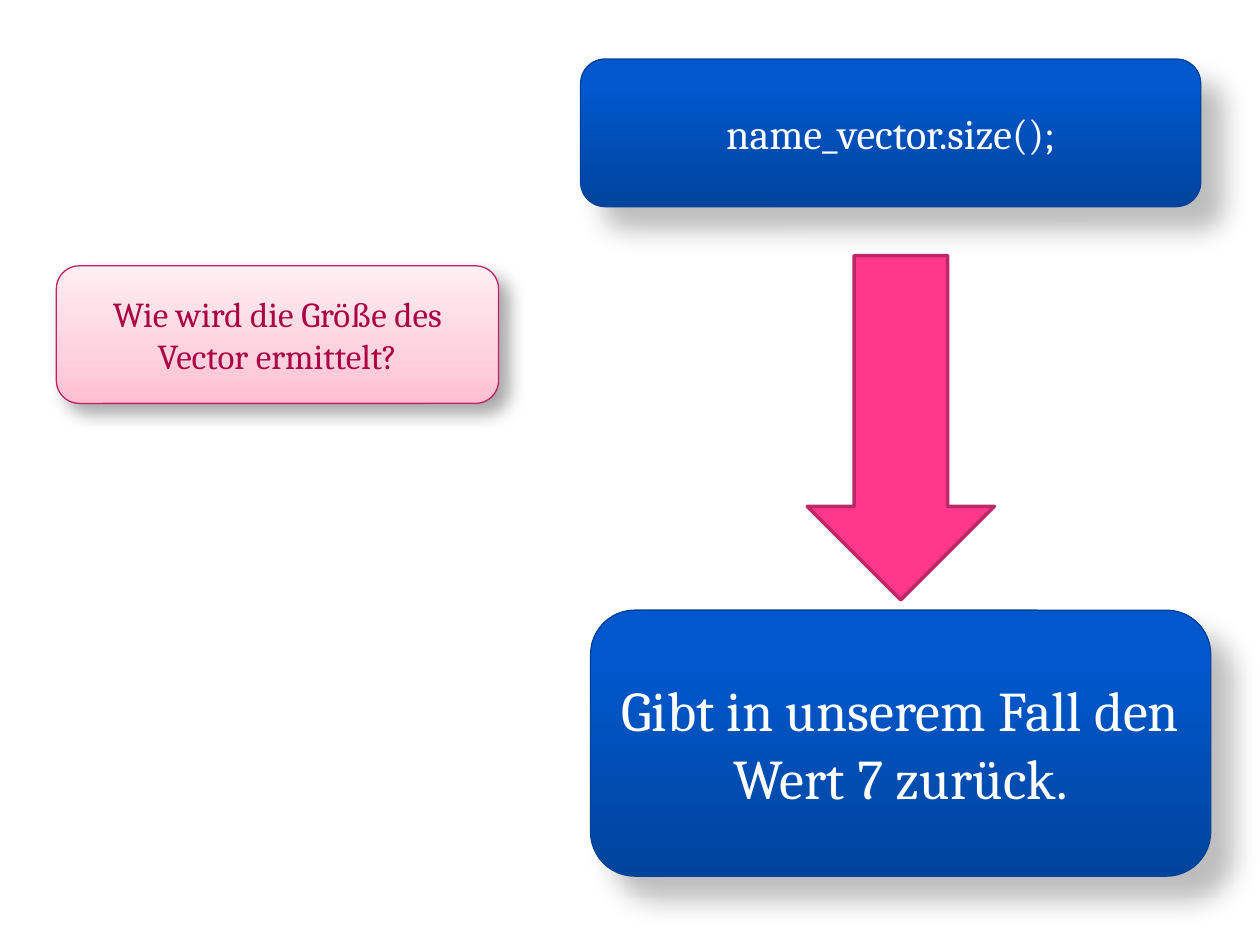
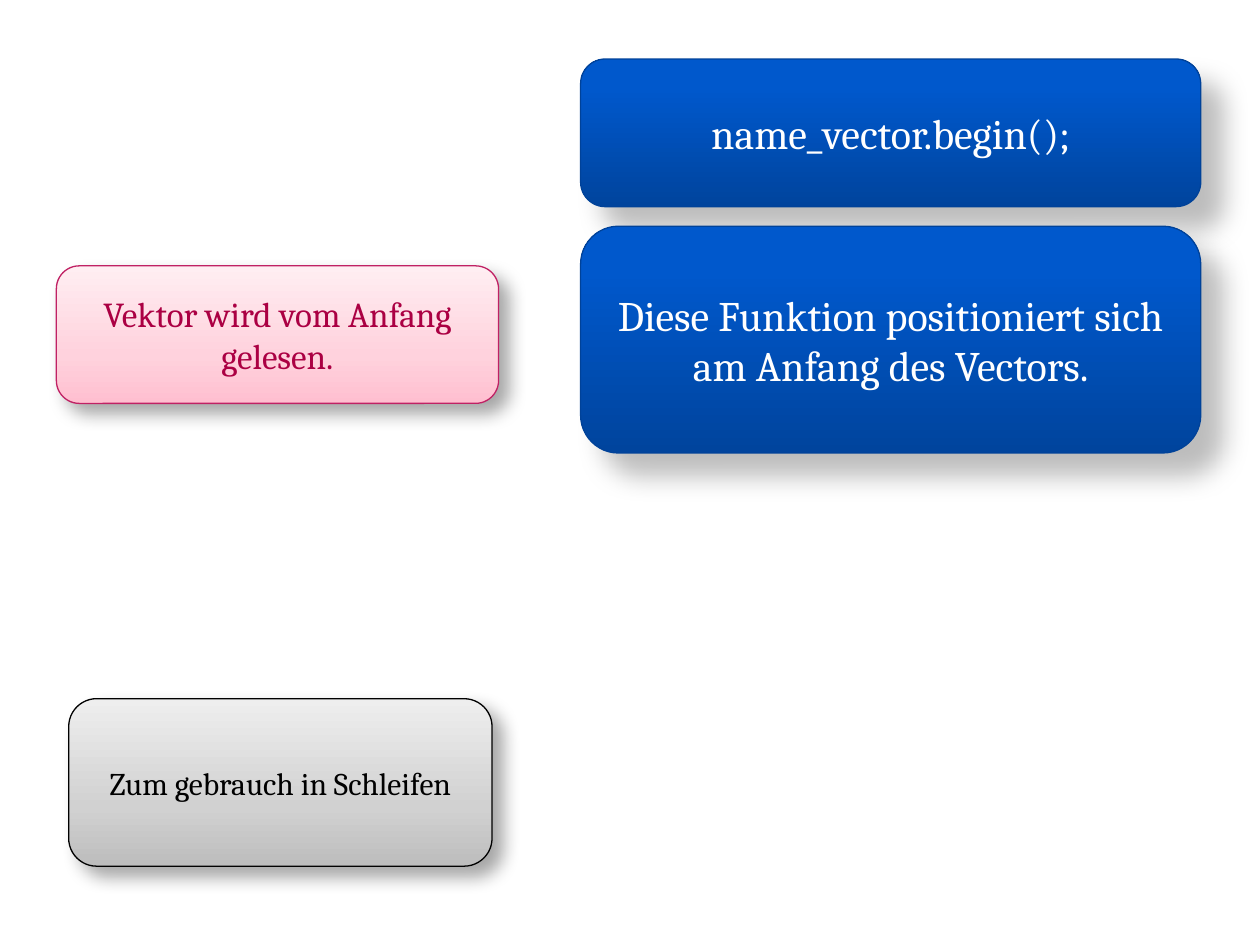
"""Build two slides on the vector functions size() and begin()."""
from lxml import etree
from pptx import Presentation
from pptx.dml.color import RGBColor
from pptx.enum.shapes import MSO_SHAPE as Preset
from pptx.enum.text import MSO_ANCHOR as Anchor, PP_ALIGN as Align
from pptx.oxml.ns import qn
from pptx.util import Pt

COLOURS = {
    "white": "FFFFFF", "black": "000000",
    "blue_dark": "00449D", "blue_mid": "0058CC", "blue_light": "0059CD", "blue_line": "004299",
    "rose_dark": "FFBFD0", "rose_mid": "FFD2DD", "rose_light": "FFEEF2", "rose_line": "C02164",
    "rose_text": "AB0043",
    "grey_dark": "BDBDBD", "grey_mid": "D1D1D1", "grey_light": "EEEEEE",
    "arrow": "FF388C", "arrow_line": "BD2968",
}
DEEP_SHADOW = {"alpha": 26, "blur": 15, "dist": 18}
SOFT_SHADOW = {"alpha": 35, "blur": 10.2, "dist": 8}
STYLES = {
    "answer": {"stops": [(0, "blue_dark"), (80, "blue_mid"), (100, "blue_light")],
               "line": "blue_line", "text": "white", "shadow": DEEP_SHADOW},
    "question": {"stops": [(0, "rose_dark"), (35, "rose_mid"), (100, "rose_light")],
                 "line": "rose_line", "text": "rose_text", "shadow": SOFT_SHADOW},
    "hint": {"stops": [(0, "grey_dark"), (35, "grey_mid"), (100, "grey_light")],
             "line": "black", "text": "black", "shadow": SOFT_SHADOW},
}
CALL_PLACE = (331.8, 33.7, 354.4, 84.4)
QUESTION_PLACE = (32.2, 151.9, 252.7, 78.6)
ARROW_PLACE = (461.3, 146, 106.9, 196.8)
SLIDES = [
    {"call": "name_vector.size();",
     "question": "Wie wird die Größe des Vector ermittelt?",
     "extras": [("answer", (337.5, 348.7, 354.4, 152), 32,
                 "Gibt in unserem Fall den Wert 7 zurück.")],
     "arrow": True},
    {"call": "name_vector.begin();",
     "question": "Vektor wird vom Anfang gelesen.",
     "extras": [("answer", (331.8, 129.3, 354.4, 129.6), 24,
                 "Diese Funktion positioniert sich am Anfang des Vectors."),
                ("hint", (39.3, 399.3, 241.9, 95.7), 18, "Zum gebrauch in Schleifen")],
     "arrow": False},
]


def rgb(name):
    return RGBColor.from_string(COLOURS[name])


def add_colour(parent, name):
    return etree.SubElement(parent, qn("a:srgbClr"), val=COLOURS[name])


def add_preset(slide, preset, place, line, width):
    shape = slide.shapes.add_shape(preset, *map(Pt, place))
    shape.shadow.inherit = False
    shape.line.color.rgb = rgb(line)
    shape.line.width = Pt(width)
    return shape


def fill_gradient(shape, stops):
    shape.fill.gradient()
    shape.fill.gradient_angle = 90
    stop_list = shape._element.spPr.find(f".//{qn('a:gsLst')}")
    for old_stop in list(stop_list):
        stop_list.remove(old_stop)
    for percent, name in stops:
        add_colour(etree.SubElement(stop_list, qn("a:gs"), pos=str(percent * 1000)), name)


def cast_shadow(shape, alpha, blur, dist):
    effects = shape._element.spPr.find(qn("a:effectLst"))
    shadow = etree.SubElement(effects, qn("a:outerShdw"), blurRad=str(int(Pt(blur))),
                              dist=str(int(Pt(dist))), dir=str(45 * 60000),
                              algn="ctr", rotWithShape="0")
    etree.SubElement(add_colour(shadow, "black"), qn("a:alpha"), val=str(alpha * 1000))


def add_card(slide, kind, place, size, text):
    style = STYLES[kind]
    card = add_preset(slide, Preset.ROUNDED_RECTANGLE, place, style["line"], 0.75)
    fill_gradient(card, style["stops"])
    cast_shadow(card, **style["shadow"])
    frame = card.text_frame
    frame.word_wrap = True
    frame.vertical_anchor = Anchor.MIDDLE
    paragraph = frame.paragraphs[0]
    paragraph.alignment = Align.CENTER
    run = paragraph.add_run()
    run.text = text
    for name, value in {"name": "Cambria", "size": Pt(size)}.items():
        setattr(run.font, name, value)
    run.font.color.rgb = rgb(style["text"])


def main():
    deck = Presentation()
    deck.slide_width, deck.slide_height = Pt(720), Pt(540)
    for content in SLIDES:
        slide = deck.slides.add_slide(deck.slide_layouts[6])
        add_card(slide, "answer", CALL_PLACE, 24, content["call"])
        add_card(slide, "question", QUESTION_PLACE, 20, content["question"])
        for extra in content["extras"]:
            add_card(slide, *extra)
        if content["arrow"]:
            arrow = add_preset(slide, Preset.DOWN_ARROW, ARROW_PLACE, "arrow_line", 2)
            arrow.fill.solid()
            arrow.fill.fore_color.rgb = rgb("arrow")
    deck.save("out.pptx")


if __name__ == "__main__":
    main()
